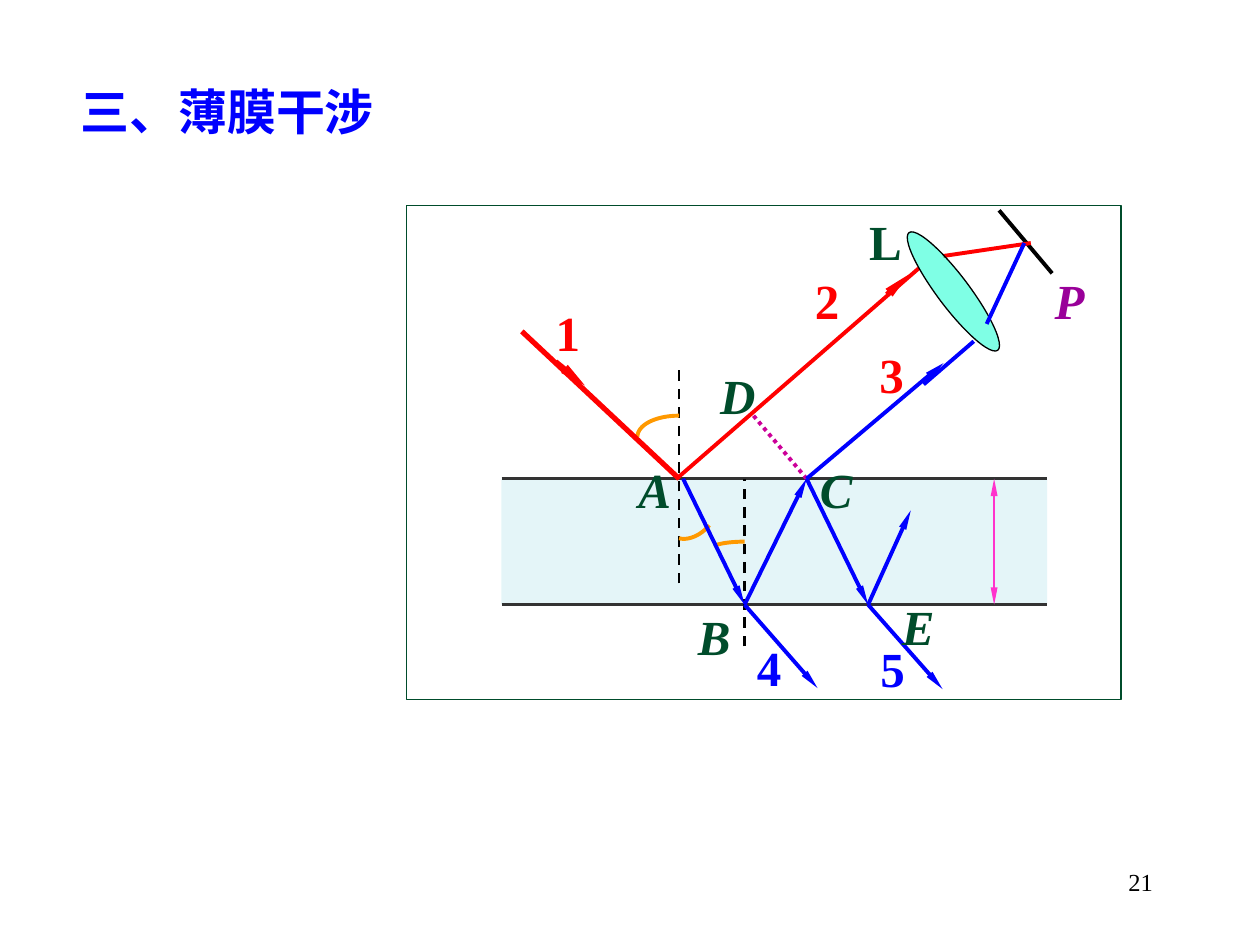
import pptx
import pptx.dml.color
import pptx.enum.dml
import pptx.enum.shapes
import pptx.enum.text
import pptx.oxml
import pptx.oxml.ns
import pptx.util

Cm, Pt = pptx.util.Cm, pptx.util.Pt
SHAPE = pptx.enum.shapes.MSO_SHAPE
ANCHOR = pptx.enum.text.MSO_ANCHOR
ALIGN = pptx.enum.text.PP_ALIGN
DASH = pptx.enum.dml.MSO_LINE

RED, BLUE, GREEN, BLACK = "FF0000", "0000FF", "004C2B", "000000"
ORANGE, PURPLE, PINK, MAGENTA, GREY = "FF9900", "990099", "FF33CC", "CC0099", "333333"

# Film edges and the points where rays meet its surfaces, in cm
LEFT, RIGHT, TOP, BOTTOM = 10.11, 21.11, 9.65, 12.19
A, B, C, E = (13.69, TOP), (15.01, BOTTOM), (16.26, TOP), (17.5, BOTTOM)


def rgb(color):
    return pptx.dml.color.RGBColor.from_string(color)


def add_child(parent, tag, **attributes):
    child = pptx.oxml.ns.qn(tag)
    element = parent.makeelement(child, attributes)
    parent.append(element)
    return element


def add_text(page, text, left, top, width, height=1.45, size=28, color=BLACK,
             bold=True, italic=False, align=ALIGN.LEFT, anchor=ANCHOR.MIDDLE):
    box = page.shapes.add_textbox(Cm(left), Cm(top), Cm(width), Cm(height))
    frame = box.text_frame
    frame.word_wrap = True
    frame.vertical_anchor = anchor
    frame.text = text
    para = frame.paragraphs[0]
    para.alignment = align
    font = para.runs[0].font
    font.name, font.size = "Times New Roman", Pt(size)
    font.bold, font.italic = bold, italic
    font.color.rgb = rgb(color)


def add_line(page, start, end, color, width=2.25, dash=None, arrows=()):
    """Draw a straight line; arrows names the ends that carry a head."""
    line = page.shapes.add_connector(
        pptx.enum.shapes.MSO_CONNECTOR.STRAIGHT, *(Cm(v) for v in start + end))
    line.line.color.rgb = rgb(color)
    line.line.width = Pt(width)
    if dash:
        line.line.dash_style = dash
    outline = line.line._get_or_add_ln()
    for tag in arrows:
        add_child(outline, tag, type="triangle", w="sm", len="lg")
    add_child(line._element.spPr, "a:effectLst")


def add_arrow(page, start, end, color, width=2.25):
    add_line(page, start, end, color, width, arrows=("a:tailEnd",))


def add_filled(page, kind, left, top, width, height, fill, outline=None, opacity=100):
    shape = page.shapes.add_shape(kind, Cm(left), Cm(top), Cm(width), Cm(height))
    shape.shadow.inherit = False
    shape.fill.solid()
    shape.fill.fore_color.rgb = rgb(fill)
    if opacity < 100:
        solid = shape._element.spPr.find(pptx.oxml.ns.qn("a:solidFill"))
        add_child(solid[0], "a:alpha", val=str(opacity * 1000))
    if outline:
        shape.line.color.rgb = rgb(outline)
        shape.line.width = Pt(0.75)
    else:
        shape.line.fill.background()
    return shape


def add_arc(page, *controls, steps=16):
    """Draw an angle mark along a cubic Bezier curve."""
    points = []
    for step in range(steps + 1):
        t = step / steps
        weights = ((1 - t) ** 3, 3 * t * (1 - t) ** 2, 3 * t * t * (1 - t), t ** 3)
        points.append(tuple(Cm(sum(w * p[axis] for w, p in zip(weights, controls)))
                            for axis in (0, 1)))
    builder = page.shapes.build_freeform(*points[0])
    builder.add_line_segments(points[1:], close=False)
    arc = builder.convert_to_shape()
    arc.shadow.inherit = False
    arc.fill.background()
    arc.line.color.rgb = rgb(ORANGE)
    arc.line.width = Pt(2.25)


def draw_film(page):
    add_filled(page, SHAPE.RECTANGLE, 8.2, 4.14, 14.4, 9.96, "FFFFFF", GREEN)
    add_filled(page, SHAPE.RECTANGLE, LEFT, TOP, RIGHT - LEFT, BOTTOM - TOP,
               "CAEDF2", opacity=50)
    for y in (TOP, BOTTOM):
        add_line(page, (LEFT, y), (RIGHT, y), GREY, 1.5)
    # Thickness of the film
    add_line(page, (20.04, BOTTOM), (20.04, TOP), PINK, 1.5,
             arrows=("a:headEnd", "a:tailEnd"))


def draw_normals_and_angles(page):
    for x, low, high in ((A[0], 11.76, 7.32), (B[0], 13.03, TOP)):
        add_line(page, (x, low), (x, high), BLACK, 1.5, DASH.DASH)
    add_arc(page, (13.69, 8.38), (13.23, 8.38), (12.85, 8.56), (12.85, 8.81))
    add_arc(page, (13.69, 10.85), (13.87, 10.9), (14.12, 10.8), (14.3, 10.59))
    add_arc(page, (15.01, 10.92), (14.76, 10.92), (14.53, 10.95), (14.4, 11))
    # Wavefront from C to D
    add_line(page, C, (15.19, 8.38), MAGENTA, dash=DASH.ROUND_DOT)


def draw_rays(page):
    # Refracted and transmitted rays
    for start, end in (
        ((13.77, TOP), B), (B, C), (C, E), (C, (19.02, 7.32)),
        (B, (16.48, 13.87)), (E, (19, 13.89)), (E, (18.36, 10.29)),
    ):
        add_arrow(page, start, end, BLUE)
    add_line(page, (18.62, 7.75), (19.63, 6.88), BLUE)
    # Incident ray 1 and reflected ray 2
    add_line(page, (10.52, 6.68), A, RED, 3)
    add_arrow(page, (11.2, 7.29), (11.79, 7.77), RED, 3)
    add_line(page, (13.64, TOP), (18.52, 5.41), RED)
    add_arrow(page, (17.88, 5.94), (18.31, 5.54), RED, 3)


def draw_lens_and_screen(page):
    focus = 4.9
    add_line(page, (20.14, 4.24), (21.21, 5.51), BLACK)
    add_line(page, (19.02, 5.16), (20.78, focus), RED)
    lens = add_filled(page, SHAPE.OVAL, 18.9, 4.39, 0.64, 2.97, "00FFCC", BLACK, 50)
    lens.rotation = 323
    add_line(page, (20.65, focus), (19.89, 6.53), BLUE)


def label_parts(page):
    # Text, left, top, width, colour, italic
    for text, left, top, width, color, italic in (
        ("A", 12.62, 9.14, 2.36, GREEN, True),
        ("B", 13.82, 12.09, 2.34, GREEN, True),
        ("C", 16.28, 9.14, 2.57, GREEN, True),
        ("D", 14.27, 7.24, 2.16, GREEN, True),
        ("E", 17.93, 11.89, 4.06, GREEN, True),
        ("L", 17.27, 4.14, 1.96, GREEN, False),
        ("P", 21.01, 5.33, 1.91, PURPLE, True),
        ("1", 10.95, 5.97, 1.91, RED, False),
        ("2", 16.18, 5.33, 2.11, RED, False),
        ("3", 17.48, 6.81, 1.78, RED, False),
        ("4", 15.01, 12.73, 2.54, BLUE, False),
        ("5", 17.5, 12.75, 2.97, BLUE, False),
    ):
        add_text(page, text, left, top, width, color=color, italic=italic)


def main():
    deck = pptx.Presentation()
    deck.slide_width, deck.slide_height = Cm(25.4), Cm(19.05)
    page = deck.slides.add_slide(deck.slide_layouts[6])
    # Title and page number
    add_text(page, "三、薄膜干涉", 1.37, 1.52, 12.9, color=BLUE)
    add_text(page, "21", 18.21, 17.35, 5.28, 1.27, size=14, bold=False,
             align=ALIGN.RIGHT, anchor=ANCHOR.TOP)
    # Thin film diagram
    draw_film(page)
    draw_normals_and_angles(page)
    draw_rays(page)
    draw_lens_and_screen(page)
    label_parts(page)
    deck.save("out.pptx")


if __name__ == "__main__":
    main()
